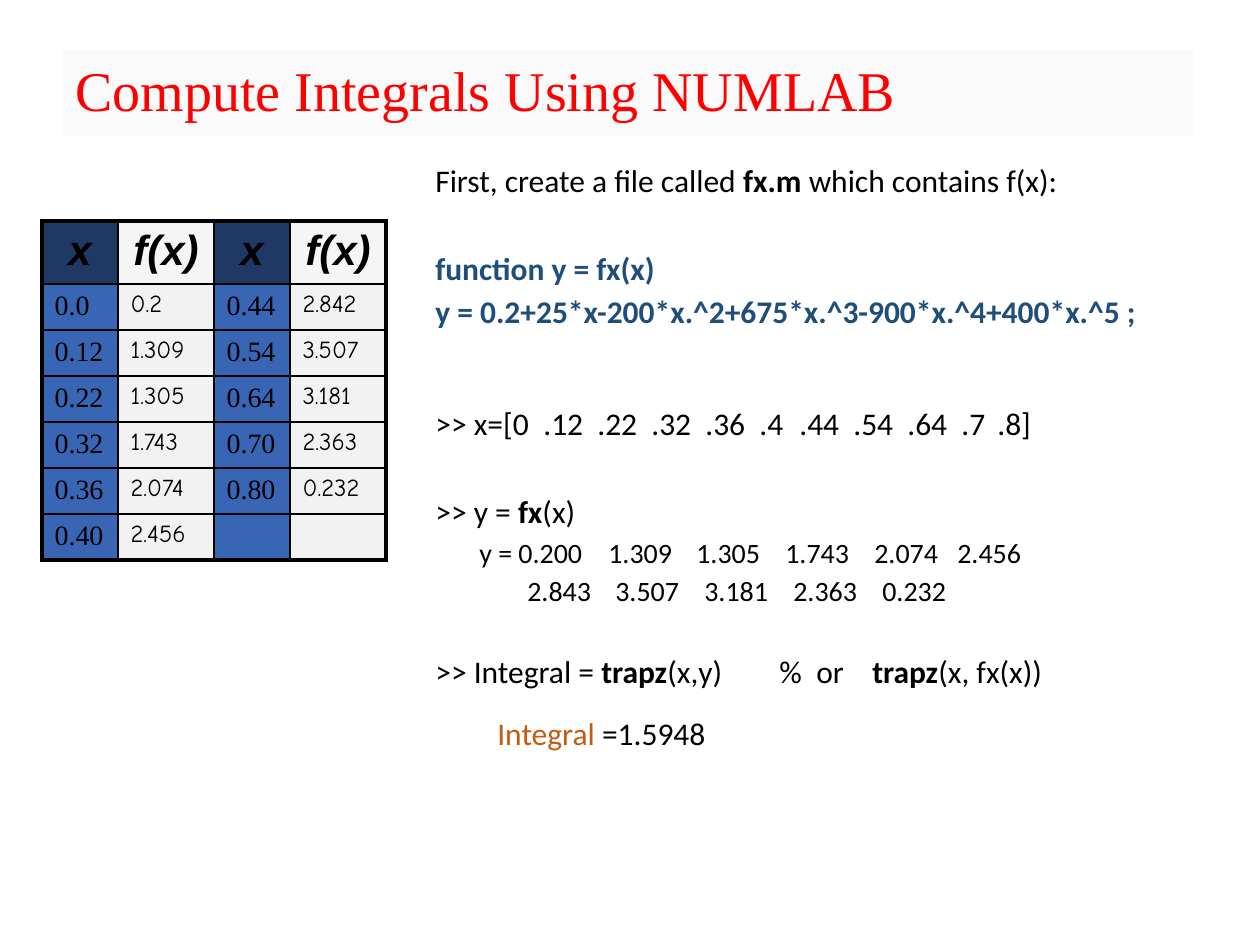
from lxml import etree
from pptx import Presentation
from pptx.dml.color import RGBColor
from pptx.enum.shapes import MSO_SHAPE
from pptx.enum.text import MSO_ANCHOR, PP_ALIGN
from pptx.oxml.ns import qn
from pptx.util import Emu, Pt

RECTANGLE = MSO_SHAPE.RECTANGLE
TOP, MIDDLE = MSO_ANCHOR.TOP, MSO_ANCHOR.MIDDLE
LEFT, CENTER = PP_ALIGN.LEFT, PP_ALIGN.CENTER
EMU_PER_PX = 914400 / 126

BLACK, NAVY, ORANGE = "000000", "1F4E79", "C55A11"

TABLE_ROWS = [
    ["x", "f(x)", "x", "f(x)"],
    ["0.0", "0.2", "0.44", "2.842"],
    ["0.12", "1.309", "0.54", "3.507"],
    ["0.22", "1.305", "0.64", "3.181"],
    ["0.32", "1.743", "0.70", "2.363"],
    ["0.36", "2.074", "0.80", "0.232"],
    ["0.40", "2.456", "", ""],
]

CODE_LINES = [
    (18, 0, [], [("First, create a file called ", False, BLACK), ("fx.m ", True, BLACK),
                 ("which contains f(x):", False, BLACK)]),
    (18, 28.3, [], [("function y = fx(x)", True, NAVY)]),
    (18, 3.2, [], [("y = 0.2+25*x-200*x.^2+675*x.^3-900*x.^4+400*x.^5 ;", True, NAVY)]),
    (18, 42.6, [108, 162, 216, 270, 324, 364, 418, 472, 526, 562],
     [(">> x=[0\t.12\t.22\t.32\t.36\t.4\t.44\t.54\t.64\t.7\t.8]", False, BLACK)]),
    (18, 28.3, [], [(">> y = ", False, BLACK), ("fx", True, BLACK), ("(x)", False, BLACK)]),
    (16, 3.3, [44, 173, 261, 350, 439, 522],
     [("\ty = 0.200\t1.309\t1.305\t1.743\t2.074\t2.456", False, BLACK)]),
    (16, 2.8, [92, 180, 269, 358, 447],
     [("\t2.843\t3.507\t3.181\t2.363\t0.232", False, BLACK)]),
    (18, 25.4, [344, 381, 437],
     [(">> Integral = ", False, BLACK), ("trapz", True, BLACK), ("(x,y)\t%\tor\t", False, BLACK),
      ("trapz", True, BLACK), ("(x, fx(x))", False, BLACK)]),
    (18, 14, [62], [("\tIntegral", False, ORANGE), (" =1.5948", False, BLACK)]),
]


def px(length):
    return Emu(round(length * EMU_PER_PX))


def color(hex_string):
    return RGBColor.from_string(hex_string)


def set_font(font, name, size, hex_string):
    font.name = name
    font.size = Pt(size)
    font.color.rgb = color(hex_string)


def add_panel(slide, box, fill, anchor):
    shape = slide.shapes.add_shape(RECTANGLE, *map(px, box))
    shape.shadow.inherit = False
    shape.fill.solid()
    shape.fill.fore_color.rgb = color(fill)
    shape.line.fill.background()
    frame = shape.text_frame
    frame.word_wrap = True
    frame.vertical_anchor = anchor
    return frame


def add_title(slide, box):
    paragraph = add_panel(slide, box, "FAFAFA", MIDDLE).paragraphs[0]
    paragraph.text = "Compute Integrals Using NUMLAB"
    paragraph.alignment = LEFT
    paragraph.line_spacing = 0.9
    set_font(paragraph.font, "Times New Roman", 32, "FF0000")


def set_tab_stops(paragraph, stops):
    properties = paragraph._p.get_or_add_pPr()
    tab_list = etree.Element(qn("a:tabLst"))
    for stop in stops:
        etree.SubElement(tab_list, qn("a:tab"), pos=str(px(stop)), algn="l")
    defaults = properties.find(qn("a:defRPr"))
    defaults.addprevious(tab_list)


def add_code(slide, box):
    frame = add_panel(slide, box, "FFFFFF", TOP)
    for index, (size, space_before, stops, runs) in enumerate(CODE_LINES):
        paragraph = frame.add_paragraph() if index else frame.paragraphs[0]
        paragraph.alignment = LEFT
        paragraph.space_before = Pt(space_before)
        paragraph.font.name = "Calibri"
        paragraph.font.size = Pt(size)
        if stops:
            set_tab_stops(paragraph, stops)
        for text, bold, hex_string in runs:
            run = paragraph.add_run()
            run.text = text
            run.font.bold = bold
            run.font.color.rgb = color(hex_string)


def set_border(cell, side, width):
    line = etree.Element(qn(f"a:ln{side}"), w=str(Pt(width)))
    fill = etree.SubElement(line, qn("a:solidFill"))
    etree.SubElement(fill, qn("a:srgbClr"), val=BLACK)
    return line


def style_cell(cell, text, is_header, is_x):
    cell.fill.solid()
    fills = ("203864", "F5F5F5") if is_header else ("3965B5", "F2F2F2")
    cell.fill.fore_color.rgb = color(fills[0] if is_x else fills[1])
    paragraph = cell.text_frame.paragraphs[0]
    paragraph.text = text
    if is_header:
        paragraph.alignment = CENTER
        paragraph.font.bold = paragraph.font.italic = True
        name, size = "Arial", 24
    else:
        name, size = ("Times New Roman", 16) if is_x else ("Comic Neue", 14)
    set_font(paragraph.font, name, size, BLACK)
    if not text:
        etree.SubElement(paragraph._p, qn("a:endParaRPr"), sz=str(size * 100))


def add_value_table(slide, box):
    row_count, column_count = len(TABLE_ROWS), len(TABLE_ROWS[0])
    table = slide.shapes.add_table(row_count, column_count, *map(px, box)).table
    table.first_row = table.horz_banding = False
    for index, column in enumerate(table.columns):
        column.width = px(96 if index % 2 else 76)
    for index, row in enumerate(table.rows):
        row.height = px(46 if index else 63)
    for row_index, values in enumerate(TABLE_ROWS):
        for column_index, text in enumerate(values):
            cell = table.cell(row_index, column_index)
            style_cell(cell, text, row_index == 0, column_index % 2 == 0)
            outer_sides = {
                "L": column_index == 0,
                "R": column_index == column_count - 1,
                "T": row_index == 0,
                "B": row_index == row_count - 1,
            }
            borders = [set_border(cell, side, 2.25 if outer else 1)
                       for side, outer in outer_sides.items()]
            cell._tc.get_or_add_tcPr()[0:0] = borders


def main():
    presentation = Presentation()
    presentation.slide_width = px(1260)
    presentation.slide_height = px(945)
    slide = presentation.slides.add_slide(presentation.slide_layouts[6])
    add_title(slide, (63, 50, 1130, 86))
    add_code(slide, (423, 155, 770, 662))
    add_value_table(slide, (42, 221, 344, 339))
    presentation.save("out.pptx")


if __name__ == "__main__":
    main()
